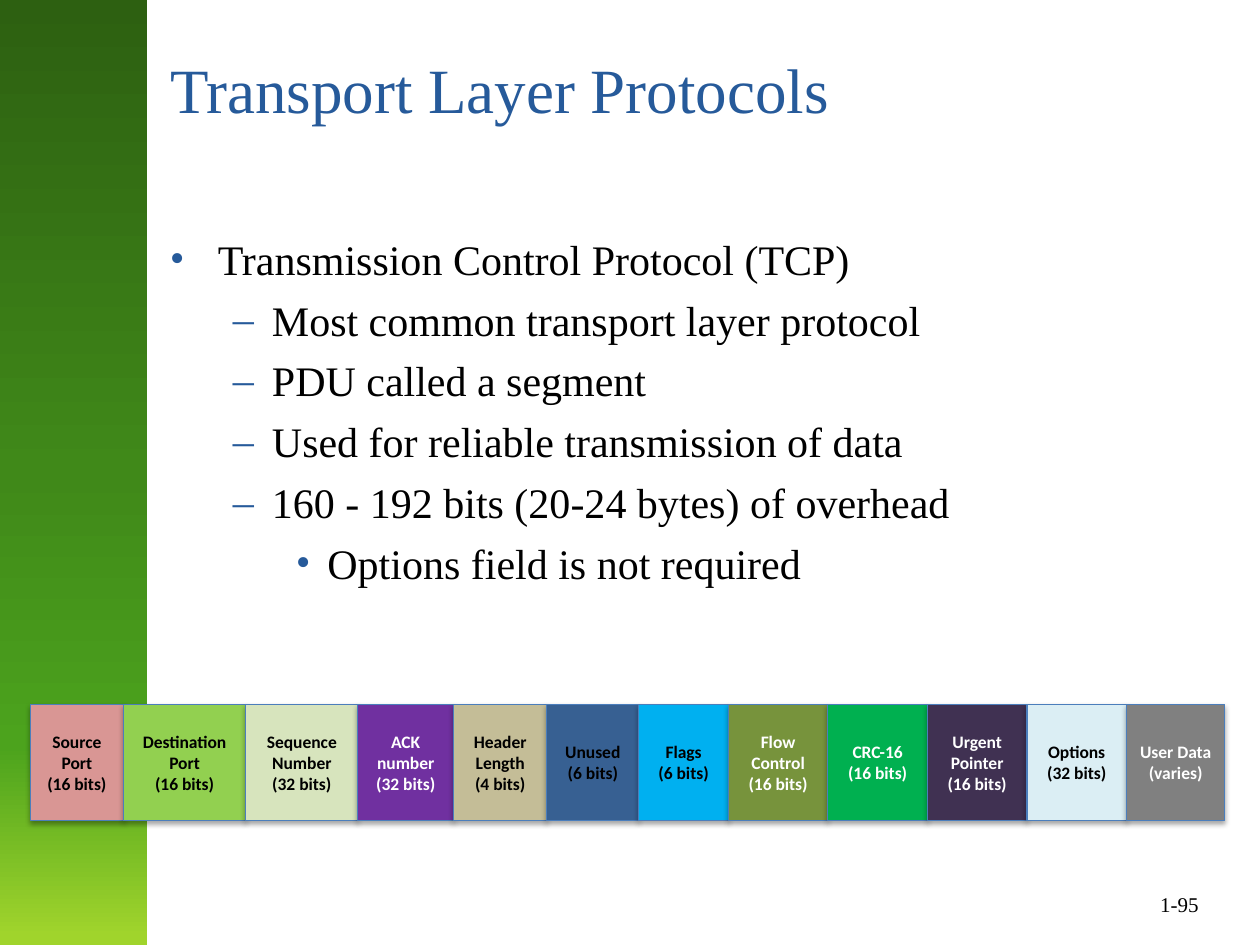
from pptx import Presentation
from pptx.dml.color import RGBColor
from pptx.enum.shapes import MSO_SHAPE
from pptx.enum.text import MSO_ANCHOR, PP_ALIGN
from pptx.oxml import parse_xml
from pptx.oxml.ns import nsdecls, qn
from pptx.util import Inches, Pt

# Content
TITLE = "Transport Layer Protocols"
PAGE_NUMBER = "1-95"
BULLETS = [  # level, text
    (0, "Transmission Control Protocol (TCP)"),
    (1, "Most common transport layer protocol"),
    (1, "PDU called a segment"),
    (1, "Used for reliable transmission of data"),
    (1, "160 - 192 bits (20-24 bytes) of overhead"),
    (2, "Options field is not required"),
]
LEVELS = [(0.38, 0.38, "•"), (0.81, 0.31, "–"), (1.25, 0.25, "•")]  # margin, hanging, bullet
SEGMENT_FIELDS = [  # name, size, width, fill, text colour
    ("Source Port", "16 bits", 0.74, "rose", "black"),
    ("Destination Port", "16 bits", 0.97, "lime", "black"),
    ("Sequence Number", "32 bits", 0.89, "pale green", "black"),
    ("ACK number", "32 bits", 0.76, "purple", "white"),
    ("Header Length", "4 bits", 0.74, "tan", "black"),
    ("Unused", "6 bits", 0.73, "steel", "black"),
    ("Flags", "6 bits", 0.71, "sky", "black"),
    ("Flow Control", "16 bits", 0.79, "olive", "white"),
    ("CRC-16", "16 bits", 0.79, "green", "white"),
    ("Urgent Pointer", "16 bits", 0.79, "plum", "white"),
    ("Options", "32 bits", 0.79, "ice", "black"),
    ("User Data", "varies", 0.78, "grey", "white"),
]
COLORS = {
    "black": "000000", "white": "FFFFFF", "heading": "265A9A", "border": "4B7EBC",
    "rose": "D99694", "lime": "92D050", "pale green": "D7E4BD", "purple": "7030A0",
    "tan": "C4BD97", "steel": "376092", "sky": "00B0F0", "olive": "77933C",
    "green": "00B050", "plum": "403152", "ice": "DBEEF4", "grey": "808080",
}
BAND_STOPS = [(0, "2D6011"), (50, "408919"), (79, "4CA31D"), (99, "A0D42C")]
SERIF, SANS = "Times New Roman", "Calibri"

# Layout in inches
SLIDE_WIDTH, SLIDE_HEIGHT = 10, 7.5
CONTENT_LEFT, CONTENT_WIDTH = 1.25, 8.42
ROW_LEFT, ROW_TOP, ROW_HEIGHT = 0.24, 5.59, 0.92


def color(name):
    return RGBColor.from_string(COLORS[name])


def add_run(paragraph, text, font_name, size, color_name, bold=False):
    run = paragraph.add_run()
    run.text = text
    run.font.name = font_name
    run.font.size = Pt(size)
    run.font.bold = bold
    run.font.color.rgb = color(color_name)


def set_bullet(paragraph, level):
    margin, hanging, character = LEVELS[level]
    properties = paragraph._p.get_or_add_pPr()
    properties.set("marL", str(Inches(margin)))
    properties.set("indent", str(-Inches(hanging)))
    for xml in (f'<a:buClr {nsdecls("a")}><a:srgbClr val="{COLORS["heading"]}"/></a:buClr>',
                f'<a:buFont {nsdecls("a")} typeface="{SERIF}"/>',
                f'<a:buChar {nsdecls("a")} char="{character}"/>'):
        properties.append(parse_xml(xml))


def add_band(slide):
    band = slide.shapes.add_shape(MSO_SHAPE.RECTANGLE, Inches(-0.02), 0,
                                  Inches(1.19), Inches(SLIDE_HEIGHT))
    band.shadow.inherit = False
    band.line.fill.background()
    stops = "".join(f'<a:gs pos="{position * 1000}"><a:srgbClr val="{value}"/></a:gs>'
                    for position, value in BAND_STOPS)
    gradient = parse_xml(f'<a:gradFill {nsdecls("a")} rotWithShape="1"><a:gsLst>{stops}</a:gsLst>'
                         '<a:lin ang="5400000" scaled="0"/></a:gradFill>')
    band._element.spPr.find(qn("a:prstGeom")).addnext(gradient)


def add_shadow(shape):
    shape.shadow.inherit = False
    effects = shape._element.spPr.find(qn("a:effectLst"))
    effects.append(parse_xml(
        f'<a:outerShdw {nsdecls("a")} blurRad="{Pt(3.1)}" dist="{Pt(1.8)}" dir="5400000" '
        'rotWithShape="0"><a:srgbClr val="000000"><a:alpha val="35000"/></a:srgbClr>'
        '</a:outerShdw>'))


def add_segment_field(slide, left, name, size, width, fill, text_color):
    box = slide.shapes.add_shape(MSO_SHAPE.RECTANGLE, Inches(left), Inches(ROW_TOP),
                                 Inches(width), Inches(ROW_HEIGHT))
    box.fill.solid()
    box.fill.fore_color.rgb = color(fill)
    box.line.color.rgb = color("border")
    box.line.width = Pt(0.75)
    add_shadow(box)
    frame = box.text_frame
    frame.word_wrap = True
    frame.vertical_anchor = MSO_ANCHOR.MIDDLE
    for index, text in enumerate((name, f"({size})")):
        paragraph = frame.add_paragraph() if index else frame.paragraphs[0]
        paragraph.alignment = PP_ALIGN.CENTER
        add_run(paragraph, text, SANS, 10, text_color, bold=True)


def main():
    presentation = Presentation()
    presentation.slide_width = Inches(SLIDE_WIDTH)
    presentation.slide_height = Inches(SLIDE_HEIGHT)
    slide = presentation.slides.add_slide(presentation.slide_layouts[5])

    # Side band and page number
    add_band(slide)
    number = slide.shapes.add_textbox(Inches(9.11), Inches(7.03), Inches(0.56), Inches(0.3))
    number.text_frame.word_wrap = False
    number.text_frame.paragraphs[0].alignment = PP_ALIGN.LEFT
    add_run(number.text_frame.paragraphs[0], PAGE_NUMBER, SERIF, 12, "black")

    # Title
    title = slide.shapes.title
    title.left, title.top = Inches(CONTENT_LEFT), Inches(0.3)
    title.width, title.height = Inches(CONTENT_WIDTH), Inches(1.25)
    title.text_frame.vertical_anchor = MSO_ANCHOR.TOP
    title.text_frame.margin_top = Inches(0.1)
    title.text_frame.paragraphs[0].alignment = PP_ALIGN.LEFT
    add_run(title.text_frame.paragraphs[0], TITLE, SERIF, 36, "heading")

    # Bulleted body
    body = slide.shapes.add_textbox(Inches(CONTENT_LEFT), Inches(1.75),
                                    Inches(CONTENT_WIDTH), Inches(4.95))
    frame = body.text_frame
    frame.word_wrap = True
    frame.margin_top = Inches(0.1)
    for index, (level, text) in enumerate(BULLETS):
        paragraph = frame.add_paragraph() if index else frame.paragraphs[0]
        paragraph.level = level
        set_bullet(paragraph, level)
        if index:
            paragraph.space_before = Pt(6)
        add_run(paragraph, text, SERIF, 24, "black")

    # Segment layout, each field starting where the last one ends
    left = ROW_LEFT
    for name, size, width, fill, text_color in SEGMENT_FIELDS:
        add_segment_field(slide, left, name, size, width, fill, text_color)
        left += width

    presentation.save("out.pptx")


if __name__ == "__main__":
    main()
